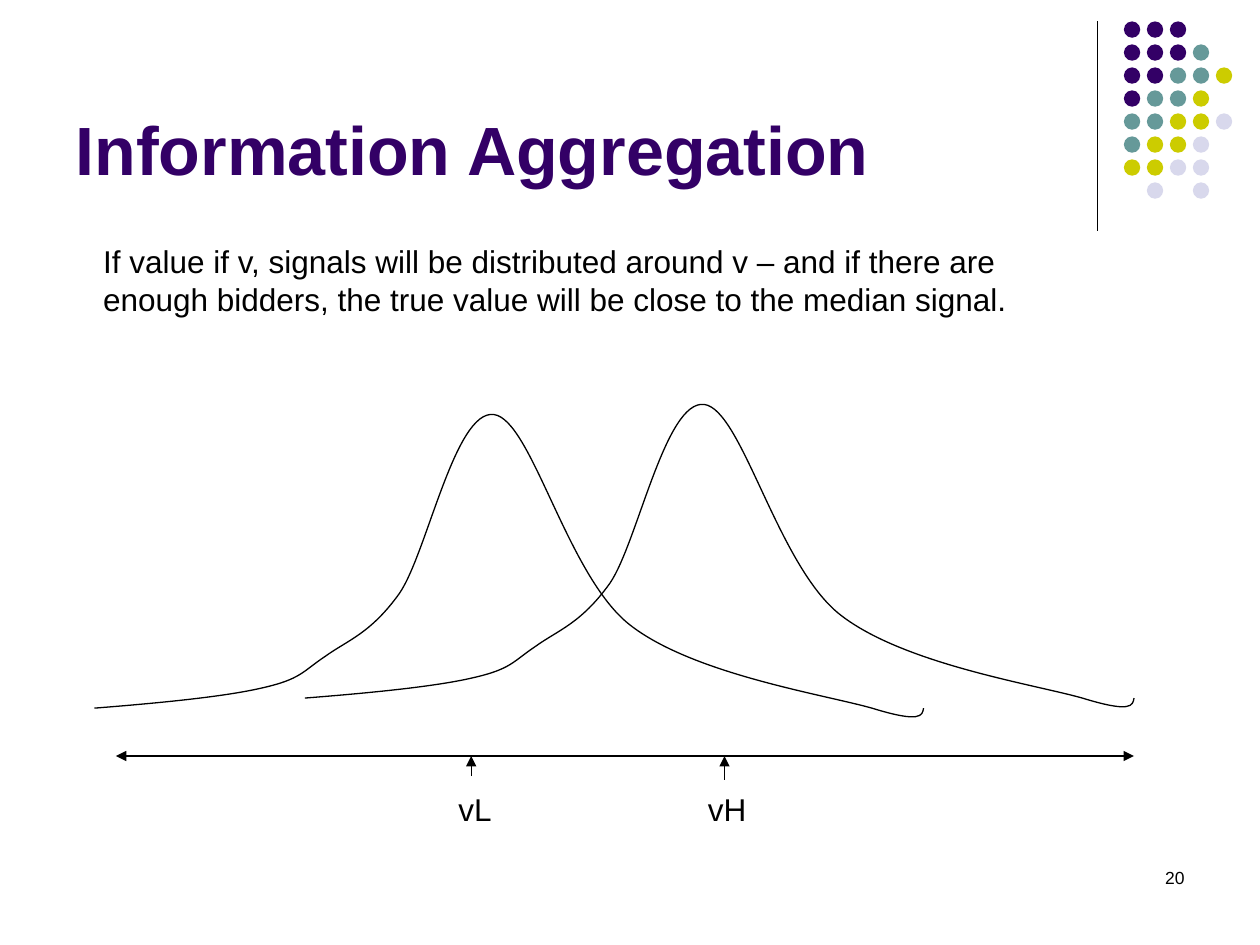
"""Build the Information Aggregation slide with two signal distributions."""
from dataclasses import dataclass

from lxml import etree
from pptx import Presentation
from pptx.dml.color import RGBColor
from pptx.enum import shapes, text
from pptx.oxml import ns
from pptx.util import Inches, Pt


@dataclass
class Theme:
    font: str = "Arial"
    ink: str = "000000"
    title: str = "330066"
    dots: tuple = ("330066", "669999", "CCCC00", "D8D8EC")
    title_size: int = 39
    body_size: int = 18
    number_size: int = 10
    line: float = 0.75


theme = Theme()
prs = Presentation()
prs.slide_width, prs.slide_height = Inches(10), Inches(7.5)
slide = prs.slides.add_slide(prs.slide_layouts[5])


def add_line(start, end, *arrow_ends):
    line = slide.shapes.add_connector(
        shapes.MSO_CONNECTOR.STRAIGHT, *map(Inches, start + end))
    line.line.color.rgb = RGBColor.from_string(theme.ink)
    line.line.width = Pt(theme.line)
    for arrow_end in arrow_ends:
        etree.SubElement(line.line._get_or_add_ln(), ns.qn(f"a:{arrow_end}"), type="triangle")
    etree.SubElement(line._element.spPr, ns.qn("a:effectLst"))


def write(box, wording, size, color, bold=False):
    box.text_frame.text = wording
    paragraph = box.text_frame.paragraphs[0]
    font = paragraph.runs[0].font
    font.name, font.size, font.bold = theme.font, Pt(size), bold
    font.color.rgb = RGBColor.from_string(color)
    return paragraph


add_line((8.71, 0.17), (8.71, 1.83))

dot_rows = ["000", "0001", "00112", "0112", "11223", "1223", "2233", " 3 3"]
pitch = (9.65 - 8.92) / 4
for row, codes in enumerate(dot_rows):
    for column, code in enumerate(codes):
        if code == " ":
            continue
        dot = slide.shapes.add_shape(
            shapes.MSO_SHAPE.OVAL, Inches(8.92 + column * pitch),
            Inches(0.17 + row * pitch), Inches(0.13), Inches(0.13))
        dot.shadow.inherit = False
        dot.fill.solid()
        dot.fill.fore_color.rgb = RGBColor.from_string(theme.dots[int(code)])
        dot.line.fill.background()

title = slide.shapes.title
title.left, title.top, title.width, title.height = map(Inches, (0.5, 0.13, 8.25, 1.42))
title.text_frame.auto_size = text.MSO_AUTO_SIZE.NONE
title.text_frame.vertical_anchor = text.MSO_ANCHOR.BOTTOM
heading = write(title, "Information Aggregation", theme.title_size, theme.title, True)
heading.alignment = text.PP_ALIGN.LEFT

add_line((0.92, 6), (9, 6), "headEnd", "tailEnd")

bell_points = [
    (0, 2.37), (0.51, 2.33), (1.03, 2.28), (1.33, 2.21),
    (1.64, 2.14), (1.65, 2.08), (1.83, 1.96), (2.01, 1.83), (2.19, 1.78), (2.42, 1.46),
    (2.64, 1.14), (2.86, 0), (3.17, 0.04), (3.47, 0.08), (3.75, 1.32), (4.25, 1.71),
    (4.75, 2.1), (5.78, 2.26), (6.17, 2.37), (6.56, 2.49), (6.57, 2.43), (6.58, 2.37),
]
for left, top in [(0.75, 3.25), (2.42, 3.17)]:
    points = [(Inches(left + x), Inches(top + y)) for x, y in bell_points]
    builder = slide.shapes.build_freeform(*points[0])
    builder.add_line_segments(points[1:], close=False)
    bell = builder.convert_to_shape()
    bell.shadow.inherit = False
    bell.fill.background()
    bell.line.color.rgb = RGBColor.from_string(theme.ink)
    bell.line.width = Pt(theme.line)
    segments = list(bell._element.iter(ns.qn("a:lnTo")))
    outline = segments[0].getparent()
    for first in range(0, len(segments), 3):
        cubic = etree.SubElement(outline, ns.qn("a:cubicBezTo"))
        for segment in segments[first:first + 3]:
            cubic.append(segment[0])
            outline.remove(segment)

explanation = slide.shapes.add_textbox(*map(Inches, (0.72, 1.87, 8.16, 0.71)))
explanation.text_frame.word_wrap = True
write(explanation,
      "If value if v, signals will be distributed around v – and if there are "
      "enough bidders, the true value will be close to the median signal.",
      theme.body_size, theme.ink)

for wording, left, width, arrow_x, arrow_y in [
        ("vL", 3.54, 0.47, 3.74, 6.16), ("vH", 5.52, 0.51, 5.75, 6.19)]:
    add_line((arrow_x, arrow_y), (arrow_x, 6), "tailEnd")
    value = slide.shapes.add_textbox(*map(Inches, (left, 6.22, width, 0.4)))
    value.text_frame.word_wrap = False
    write(value, wording, theme.body_size, theme.ink)

page_number = slide.shapes.add_textbox(*map(Inches, (7.17, 6.83, 2.33, 0.5)))
page_number.text_frame.word_wrap = True
number = write(page_number, "20", theme.number_size, theme.ink)
number.alignment = text.PP_ALIGN.RIGHT

prs.save("out.pptx")
